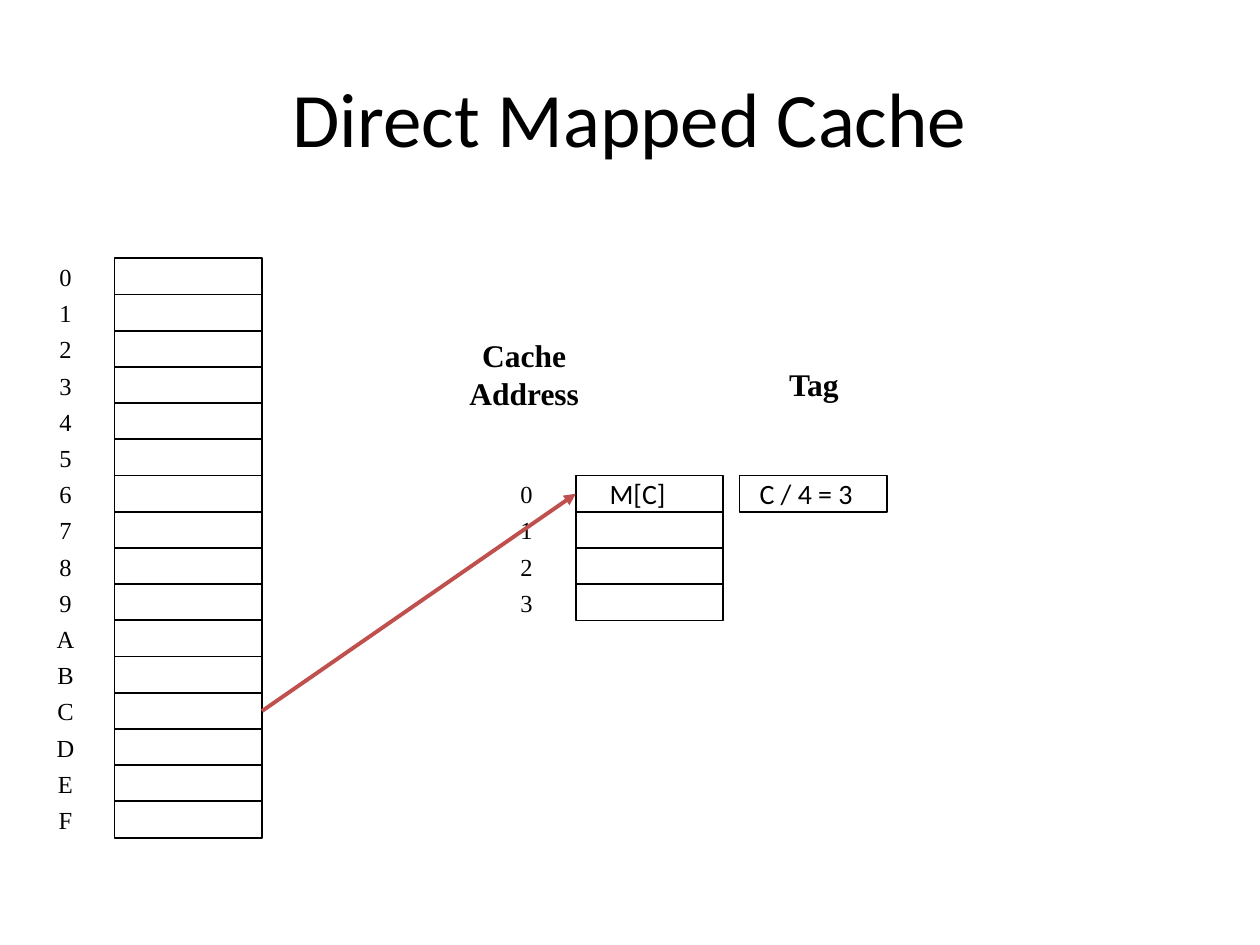
from pptx import Presentation
from pptx.dml.color import RGBColor
from pptx.enum.shapes import MSO_CONNECTOR, MSO_SHAPE
from pptx.enum.text import MSO_ANCHOR, PP_ALIGN
from pptx.oxml.ns import qn
from pptx.util import Inches, Pt
from lxml import etree

RECT = MSO_SHAPE.RECTANGLE
STRAIGHT = MSO_CONNECTOR.STRAIGHT
MIDDLE = MSO_ANCHOR.MIDDLE
LEFT, CENTER = PP_ALIGN.LEFT, PP_ALIGN.CENTER
SERIF, SANS = "Times New Roman", "Calibri"
rgb = RGBColor.from_string

CELL_W, CELL_H = 1.17, 0.29
MEMORY_TOP = 2.05
PITCH = (6.36 - MEMORY_TOP) / 15
CACHE_TOP = MEMORY_TOP + 6 * PITCH

prs = Presentation()
prs.slide_width, prs.slide_height = Inches(10), Inches(7.5)
s = prs.slides.add_slide(prs.slide_layouts[6])


def add_text(text, x, y, w, h, size, font, align=CENTER, bold=False, wrap=False):
    sp = s.shapes.add_textbox(Inches(x), Inches(y), Inches(w), Inches(h))
    tf = sp.text_frame
    tf.word_wrap = wrap
    p = tf.paragraphs[0]
    p.text = text
    p.alignment = align
    p.font.size, p.font.name, p.font.bold = Pt(size), font, bold
    p.font.color.rgb = rgb("000000")
    return sp


def add_cell(x, y):
    sp = s.shapes.add_shape(RECT, Inches(x), Inches(y), Inches(CELL_W), Inches(CELL_H))
    sp.shadow.inherit = False
    sp.fill.solid()
    sp.fill.fore_color.rgb = rgb("FFFFFF")
    sp.line.color.rgb = rgb("000000")
    sp.line.width = Pt(1)
    return sp


title = add_text("Direct Mapped Cache", 0.5, 0.3, 9, 1.25, 44, SANS, wrap=True)
title.text_frame.vertical_anchor = MIDDLE

cells = {}
for block, x, top, addresses in [
    ("memory", 0.91, MEMORY_TOP, "0123456789ABCDEF"),
    ("cache", 4.57, CACHE_TOP, "0123"),
]:
    for i, address in enumerate(addresses):
        y = top + i * PITCH
        cells[block, address] = add_cell(x, y)
        add_text(address, x - 0.56, y - 0.02, 0.34, 0.33, 14, SERIF)

add_text("Cache\vAddress", 3.62, 2.62, 1.08, 0.7, 18, SERIF, bold=True)

arrow = s.shapes.add_connector(STRAIGHT, 0, 0, 0, 0)
arrow.begin_connect(cells["memory", "C"], 3)
arrow.end_connect(cells["cache", "0"], 1)
arrow.line.color.rgb = rgb("C0504D")
arrow.line.width = Pt(2.25)
etree.SubElement(arrow.line._get_or_add_ln(), qn("a:tailEnd"), type="triangle")
etree.SubElement(arrow._element.spPr, qn("a:effectLst"))

add_cell(5.87, CACHE_TOP)
add_text("M[C]", 4.74, 3.73, 1.02, 0.37, 16, SANS, align=LEFT, wrap=True)
add_text("Tag", 6.16, 2.85, 0.6, 0.4, 18, SERIF, bold=True)
add_text("C / 4 = 3", 5.93, 3.73, 1.02, 0.37, 16, SANS, align=LEFT, wrap=True)

prs.save("out.pptx")
